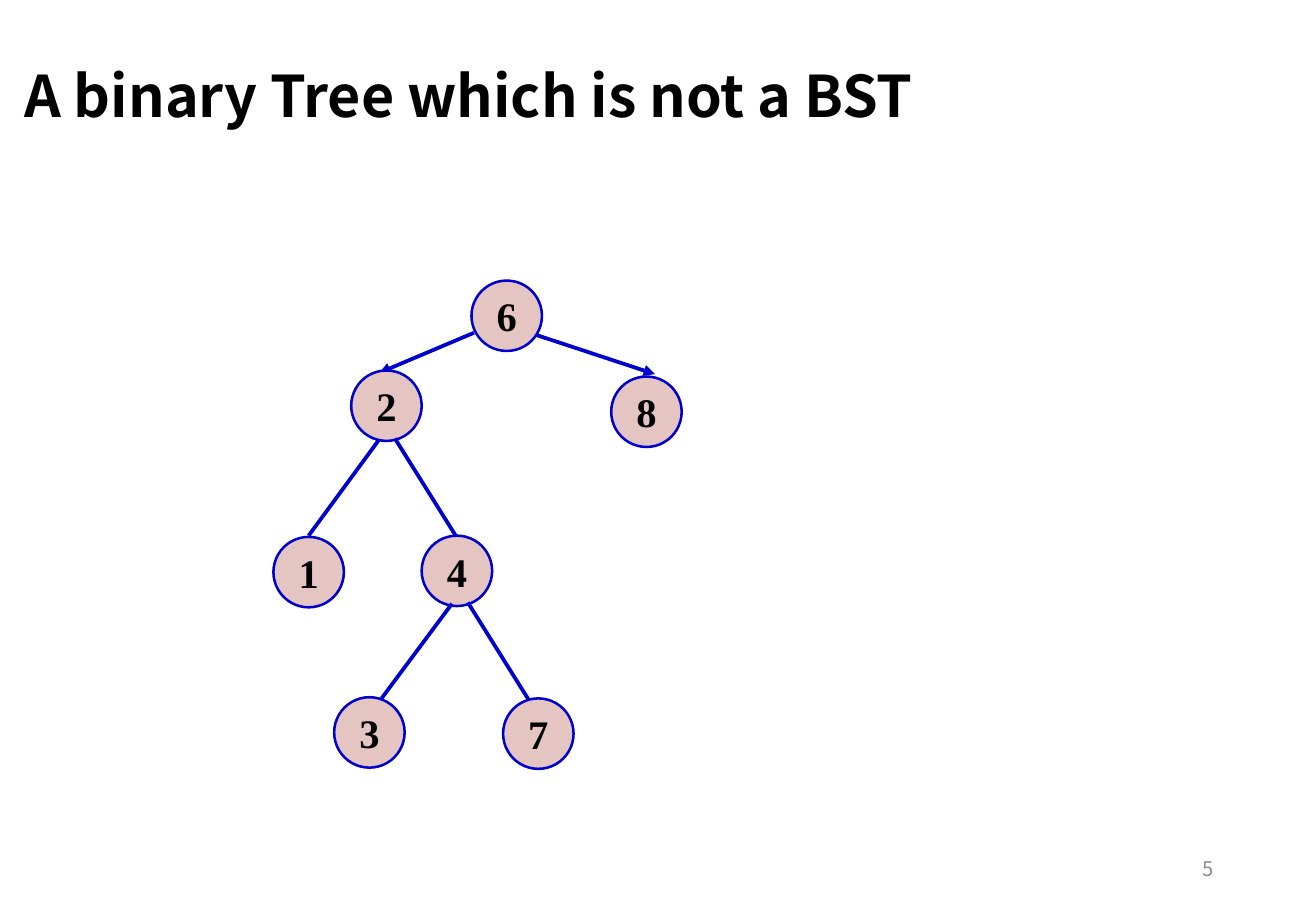
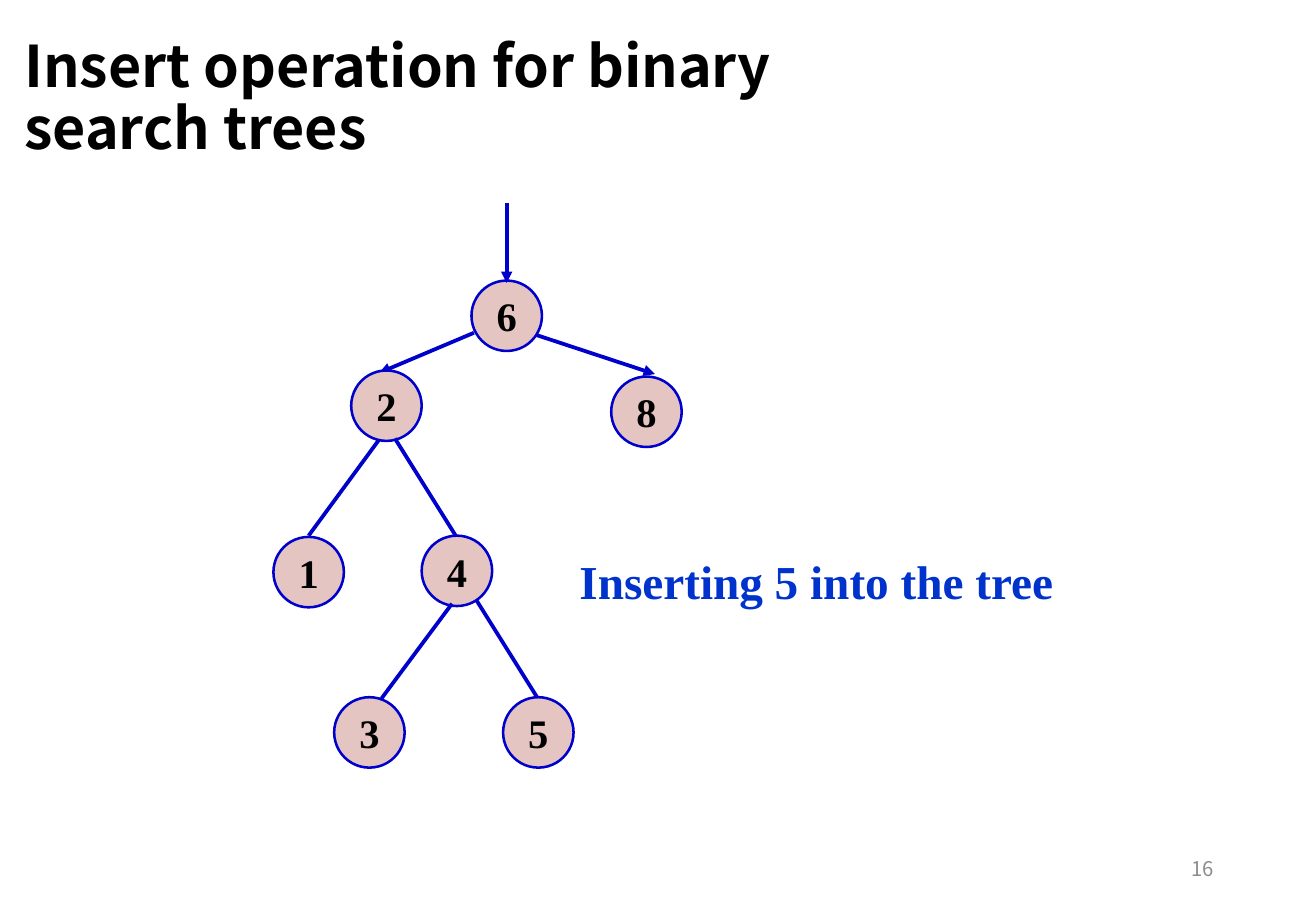
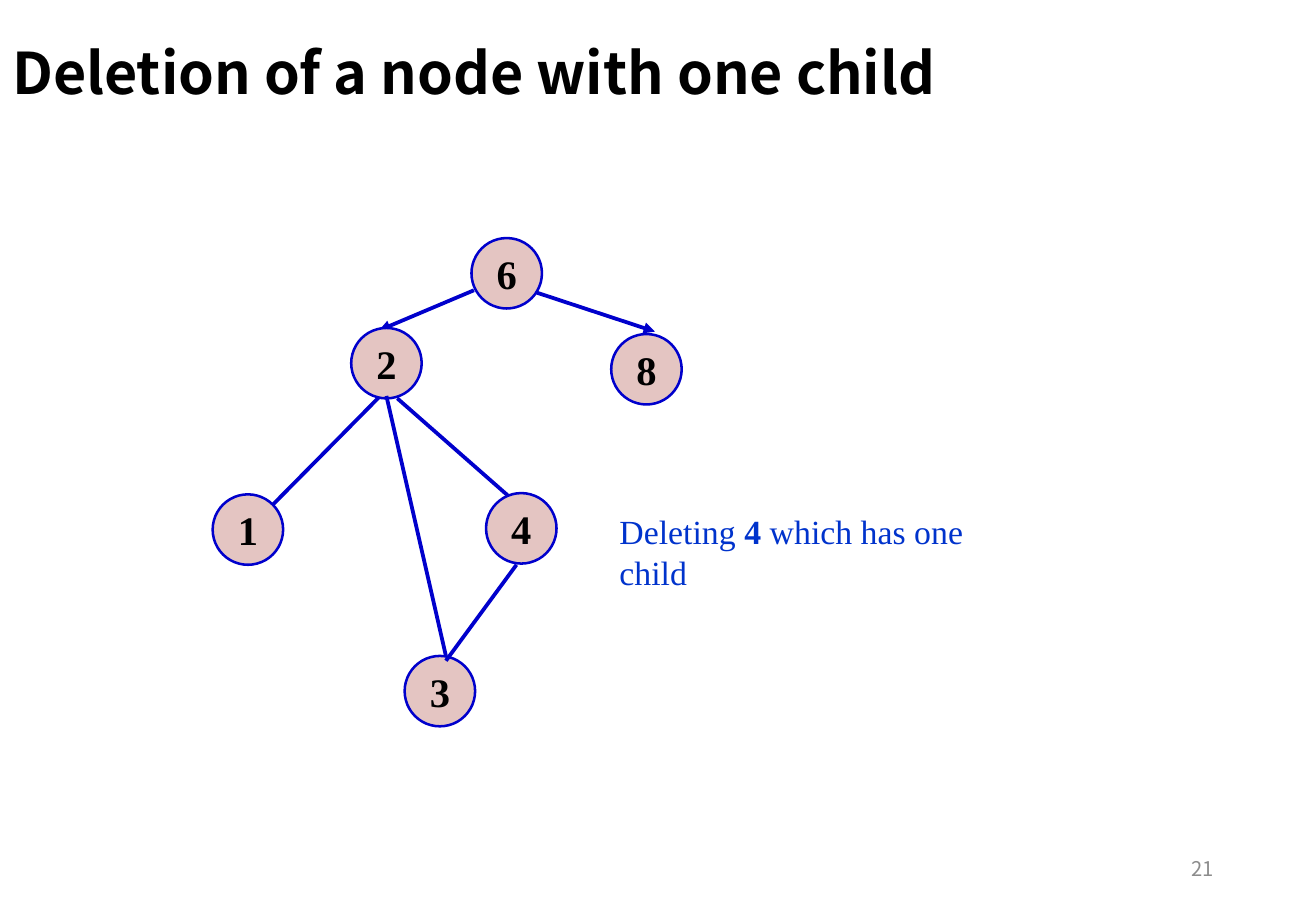
import pptx
import pptx.util
import pptx.dml.color
import pptx.enum.shapes
import pptx.enum.text
import pptx.oxml
import pptx.oxml.ns

Inches = pptx.util.Inches
Pt = pptx.util.Pt
ALIGN = pptx.enum.text.PP_ALIGN
ANCHOR = pptx.enum.text.MSO_ANCHOR

HUES = {"ink": "000000", "page": "8C8C8C", "node": "E4C5C2",
        "edge": "0000CC", "note": "0033CC"}
SANS = "Noto Sans CJK SC"
SERIF = "Times New Roman"
SIZE = 0.58
LIFT = 0.35

# Node places are left and top; edges run from x, y to x, y.
CROWN = {"8": (5.03, 3.1), "2": (2.89, 3.05), "6": (3.88, 2.31)}
HEADS = [(3.9, 2.74, 3.12, 3.07), (4.39, 2.75, 5.39, 3.08)]
LIMBS = {"1": (2.25, 4.42), "3": (2.75, 5.74), "4": (3.47, 4.41)}
LINKS = [(3.25, 3.61, 3.75, 4.41), (3.12, 3.62, 2.54, 4.41),
         (3.72, 4.97, 3.14, 5.75)]


def hue(name):
    return pptx.dml.color.RGBColor.from_string(HUES[name])


def style(para, face, size, tint, bold=False):
    font = para.font
    font.name, font.size, font.bold = face, Pt(size), bold
    font.color.rgb = hue(tint)


def add_box(slide, place, wrap=True):
    box = slide.shapes.add_textbox(*map(Inches, place))
    box.text_frame.word_wrap = wrap
    return box.text_frame


def add_page(deck, title, left, top, number):
    """Add a slide with its title and page number."""
    slide = deck.slides.add_slide(deck.slide_layouts.get_by_name("Title Only"))
    head = slide.shapes.title
    head.left, head.top = Inches(left), Inches(top)
    head.width, head.height = Inches(7.92), Inches(1.25)
    frame = head.text_frame
    frame.text = title
    frame.auto_size = pptx.enum.text.MSO_AUTO_SIZE.NONE
    frame.vertical_anchor = ANCHOR.MIDDLE
    para = frame.paragraphs[0]
    para.alignment, para.line_spacing = ALIGN.LEFT, 0.9
    style(para, SANS, 34, "ink", True)

    frame = add_box(slide, (7.65, 6.95, 2.44, 0.4))
    frame.text = str(number)
    frame.vertical_anchor = ANCHOR.MIDDLE
    frame.paragraphs[0].alignment = ALIGN.RIGHT
    style(frame.paragraphs[0], SANS, 12, "page")
    return slide


def add_node(slide, label, left, top):
    node = slide.shapes.add_shape(
        pptx.enum.shapes.MSO_SHAPE.OVAL,
        Inches(left), Inches(top), Inches(SIZE), Inches(SIZE))
    node.shadow.inherit = False
    node.fill.solid()
    node.fill.fore_color.rgb = hue("node")
    node.line.color.rgb = hue("edge")
    node.line.width = Pt(1.5)
    frame = node.text_frame
    frame.text = label
    frame.word_wrap = False
    frame.vertical_anchor = ANCHOR.MIDDLE
    frame.paragraphs[0].alignment = ALIGN.CENTER
    style(frame.paragraphs[0], SERIF, 24, "ink", True)


def add_edge(slide, ends, arrow=False):
    edge = slide.shapes.add_connector(
        pptx.enum.shapes.MSO_CONNECTOR.STRAIGHT, *map(Inches, ends))
    edge.line.color.rgb = hue("edge")
    edge.line.width = Pt(2.25)
    props = edge.element.spPr
    if arrow:
        tail = pptx.oxml.parse_xml(
            f'<a:tailEnd {pptx.oxml.ns.nsdecls("a")} type="triangle"/>')
        props.find(pptx.oxml.ns.qn("a:ln")).append(tail)
    props.append(pptx.oxml.parse_xml(
        f'<a:effectLst {pptx.oxml.ns.nsdecls("a")}/>'))


def add_tree(slide, limbs, links, lift=0):
    """Draw the shared crown, raised by lift, and the limbs below it."""
    for x1, y1, x2, y2 in HEADS:
        add_edge(slide, (x1, y1 - lift, x2, y2 - lift), True)
    for label, (left, top) in CROWN.items():
        add_node(slide, label, left, top - lift)
    for label, place in limbs.items():
        add_node(slide, label, *place)
    for ends in links:
        add_edge(slide, ends)


def add_note(slide, place, size, parts, wrap=False):
    """Add a note made of (text, bold) parts."""
    para = add_box(slide, place, wrap).paragraphs[0]
    style(para, SERIF, size, "note")
    for text, bold in parts:
        run = para.add_run()
        run.text, run.font.bold = text, bold


def main():
    deck = pptx.Presentation()
    deck.slide_width, deck.slide_height = Inches(10.83), Inches(7.5)

    slide = add_page(deck, "A binary Tree which is not a BST", 0.1, 0.19, 5)
    add_tree(slide, {**LIMBS, "7": (4.14, 5.75)},
             LINKS + [(3.85, 4.96, 4.35, 5.76)])

    slide = add_page(deck, "Insert operation for binary search trees",
                     0.1, 0.2, 16)
    add_tree(slide, {**LIMBS, "5": (4.14, 5.74)},
             LINKS + [(3.92, 4.94, 4.42, 5.74)])
    add_edge(slide, (4.17, 1.67, 4.17, 2.33), True)
    add_note(slide, (4.67, 4.5, 4.11, 0.57), 28,
             [("Inserting 5 into the tree", True)])

    slide = add_page(deck, "Deletion of a node with one child", 0, 0, 21)
    add_tree(slide, {"1": (1.75, 4.07), "3": (3.33, 5.4), "4": (4, 4.06)},
             [(3.27, 3.28, 4.18, 4.08), (3.12, 3.27, 2.25, 4.15),
              (4.25, 4.65, 3.67, 5.44), (3.18, 3.26, 3.67, 5.4)], LIFT)
    add_note(slide, (5, 4.16, 3.3, 0.77), 20,
             [("Deleting ", False), ("4", True),
              (" which has one child", False)], True)

    deck.save("out.pptx")


if __name__ == "__main__":
    main()
